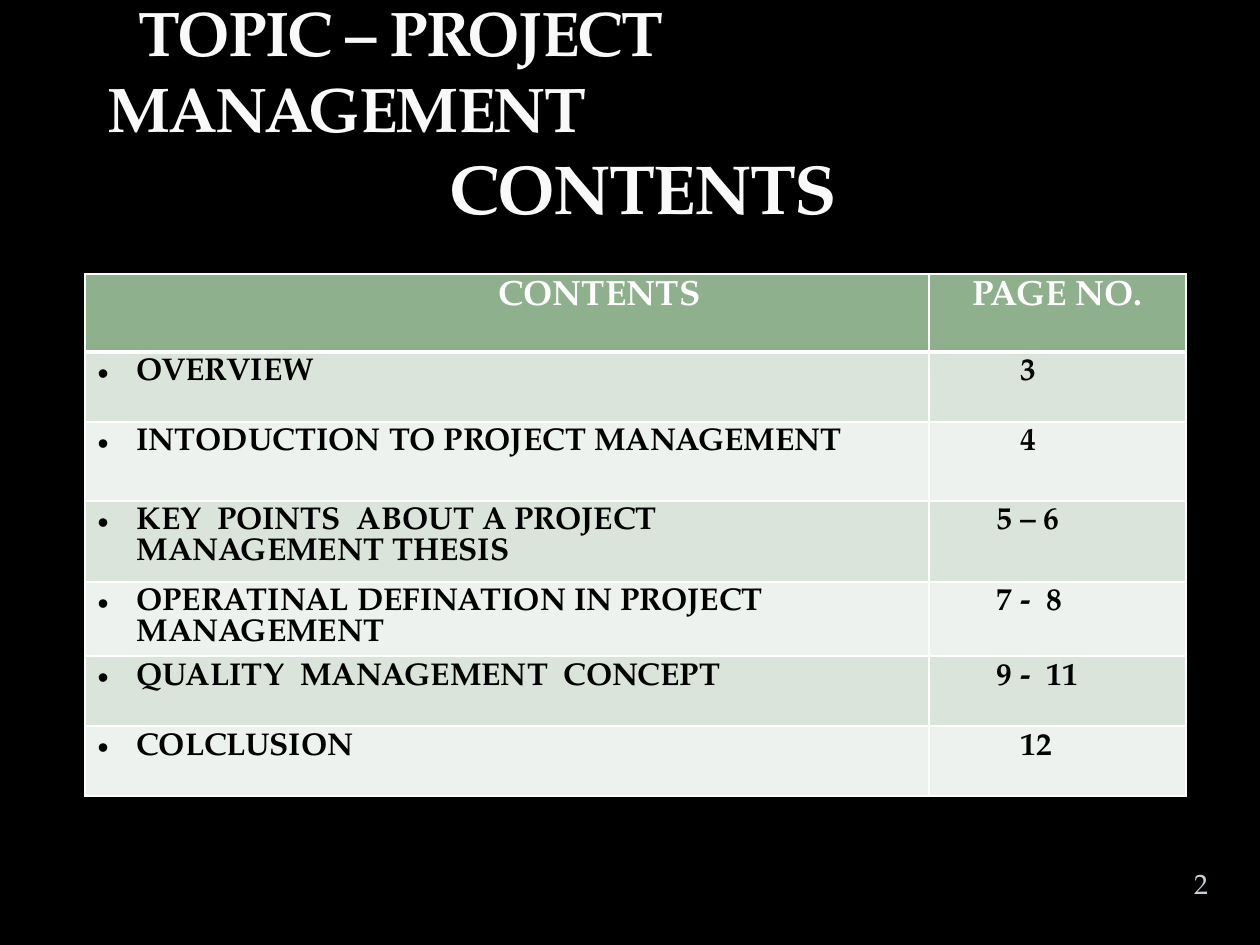
from pptx import Presentation
from pptx.dml.color import RGBColor as RGB
from pptx.enum.text import MSO_ANCHOR as ANCHOR, PP_ALIGN as ALIGN
from pptx.oxml.ns import qn
from pptx.util import Emu, Pt
from lxml.etree import SubElement

PX = 914400 // 126
FONT = "TeX Gyre Pagella"
BLACK, WHITE = RGB(0, 0, 0), RGB(255, 255, 255)
TITLE, NUMBER = RGB(0xF9, 0xF9, 0xF9), RGB(0xC5, 0xD1, 0xD7)
HEADER = RGB(0x8F, 0xB0, 0x8C)
BANDS = RGB(0xDB, 0xE4, 0xDA), RGB(0xEE, 0xF2, 0xEE)
COLUMNS = 844, 257
HEIGHTS = 78, 70, 79, 81, 70, 70, 70
ROWS = [
    ("OVERVIEW", "3", 79),
    ("INTODUCTION TO PROJECT MANAGEMENT", "4", 79),
    ("KEY  POINTS  ABOUT A PROJECT  MANAGEMENT THESIS", "5 – 6", 55),
    ("OPERATINAL DEFINATION IN PROJECT MANAGEMENT", "7 -  8", 55),
    ("QUALITY  MANAGEMENT  CONCEPT", "9 -  11", 55),
    ("COLCLUSION", "12", 79),
]


def px(n):
    """Turn pixels into EMU."""
    return Emu(n * PX)


def write(p, text, size=18, color=BLACK, bold=True, left=0, first=0,
          bullet=False, align=ALIGN.LEFT, track=0):
    """Add a formatted run to a paragraph and set its layout."""
    r = p.add_run()
    r.text = text
    r.font.name, r.font.size, r.font.bold = FONT, Pt(size), bold
    r.font.color.rgb = color
    if track:
        r._r.get_or_add_rPr().set("spc", str(track))
    p.alignment = align
    pPr = p._p.get_or_add_pPr()
    pPr.set("marL", str(px(left)))
    pPr.set("indent", str(px(first)))
    if bullet:
        SubElement(pPr, qn("a:buFont"), typeface="Arial")
        SubElement(pPr, qn("a:buChar"), char="•")


def add_box(s, x, y, w, h, anchor, insets=(0, 0, 0, 0)):
    """Add an empty wrapping text box and return its frame."""
    tf = s.shapes.add_textbox(px(x), px(y), px(w), px(h)).text_frame
    tf.word_wrap, tf.vertical_anchor = True, anchor
    tf.margin_left, tf.margin_top, tf.margin_right, tf.margin_bottom = map(px, insets)
    return tf


def style_cell(cell, fill, top=1, bottom=1):
    """Give a cell white borders and a solid fill."""
    tcPr = cell._tc.get_or_add_tcPr()
    for side, width in zip("LRTB", (1, 1, top, bottom)):
        ln = SubElement(tcPr, qn(f"a:ln{side}"), w=str(Pt(width)))
        SubElement(SubElement(ln, qn("a:solidFill")), qn("a:srgbClr"), val=str(WHITE))
    cell.fill.solid()
    cell.fill.fore_color.rgb = fill


def add_title(s):
    """Add the topic and the centred word beneath it."""
    tf = add_box(s, 94, 78, 1069, 156, ANCHOR.BOTTOM, (13, 6, 40, 6))
    write(tf.paragraphs[0], "TOPIC – PROJECT MANAGEMENT", size=36, color=TITLE,
          first=31, track=-100)
    write(tf.add_paragraph(), "CONTENTS", size=39.6, color=TITLE, left=343, track=-100)


def add_contents(s):
    """Add the table of contents."""
    table = s.shapes.add_table(len(HEIGHTS), 2, px(85), px(274),
                               px(sum(COLUMNS)), px(sum(HEIGHTS))).table
    for column, w in zip(table.columns, COLUMNS):
        column.width = px(w)
    for row, h in zip(table.rows, HEIGHTS):
        row.height = px(h)
    for c, (text, left) in enumerate([("CONTENTS", 401), ("PAGE NO.", 31)]):
        cell = table.cell(0, c)
        style_cell(cell, HEADER, bottom=3)
        write(cell.text_frame.paragraphs[0], text, size=20, color=WHITE, left=left)
    for i, (topic, pages, left) in enumerate(ROWS):
        cells = table.cell(i + 1, 0), table.cell(i + 1, 1)
        for cell in cells:
            style_cell(cell, BANDS[i % 2], top=1 if i else 3)
        write(cells[0].text_frame.paragraphs[0], topic, left=39, first=-39, bullet=True)
        write(cells[1].text_frame.paragraphs[0], pages, left=left)


def main():
    """Build the slide and save it."""
    prs = Presentation()
    prs.slide_width, prs.slide_height = px(1260), px(945)
    s = prs.slides.add_slide(prs.slide_layouts[6])
    s.background.fill.solid()
    s.background.fill.fore_color.rgb = BLACK
    add_contents(s)
    add_title(s)
    tf = add_box(s, 1159, 852, 84, 63, ANCHOR.MIDDLE)
    write(tf.paragraphs[0], "2", size=16, color=NUMBER, bold=False, align=ALIGN.CENTER)
    prs.save("out.pptx")


if __name__ == "__main__":
    main()
